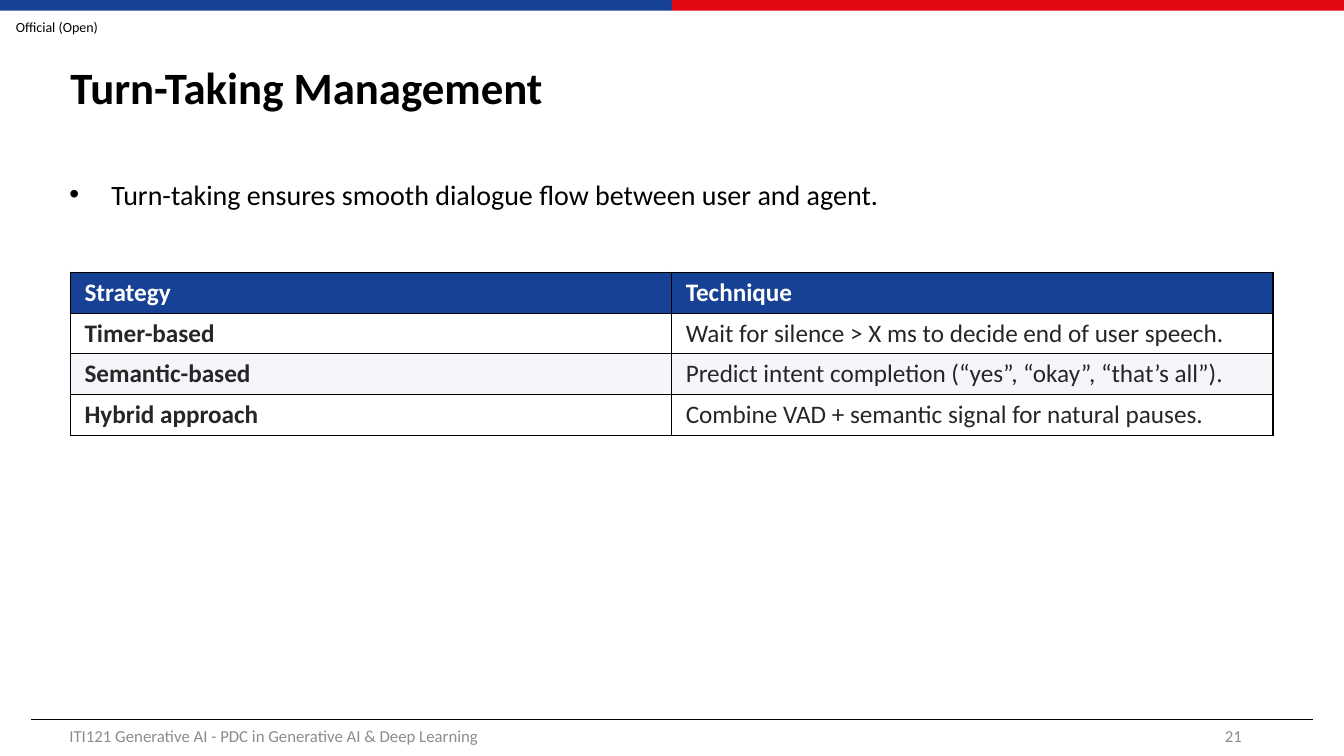
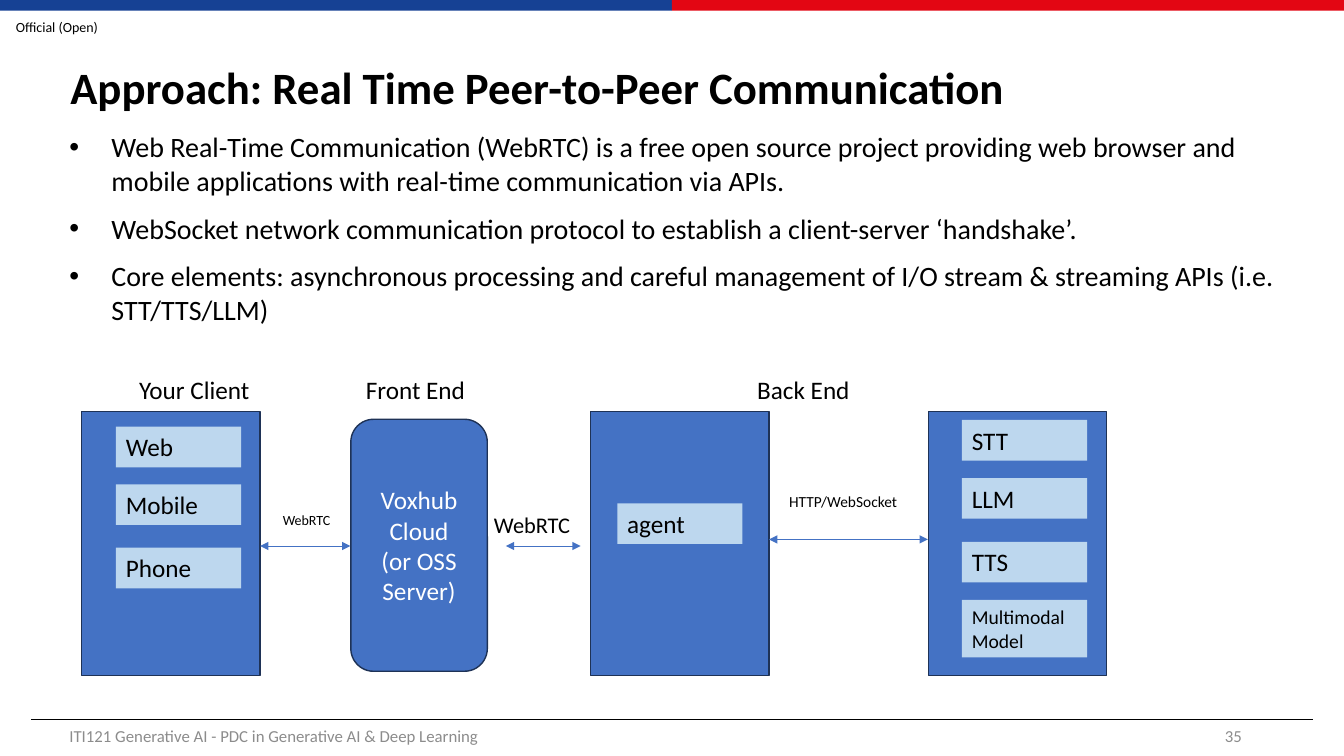
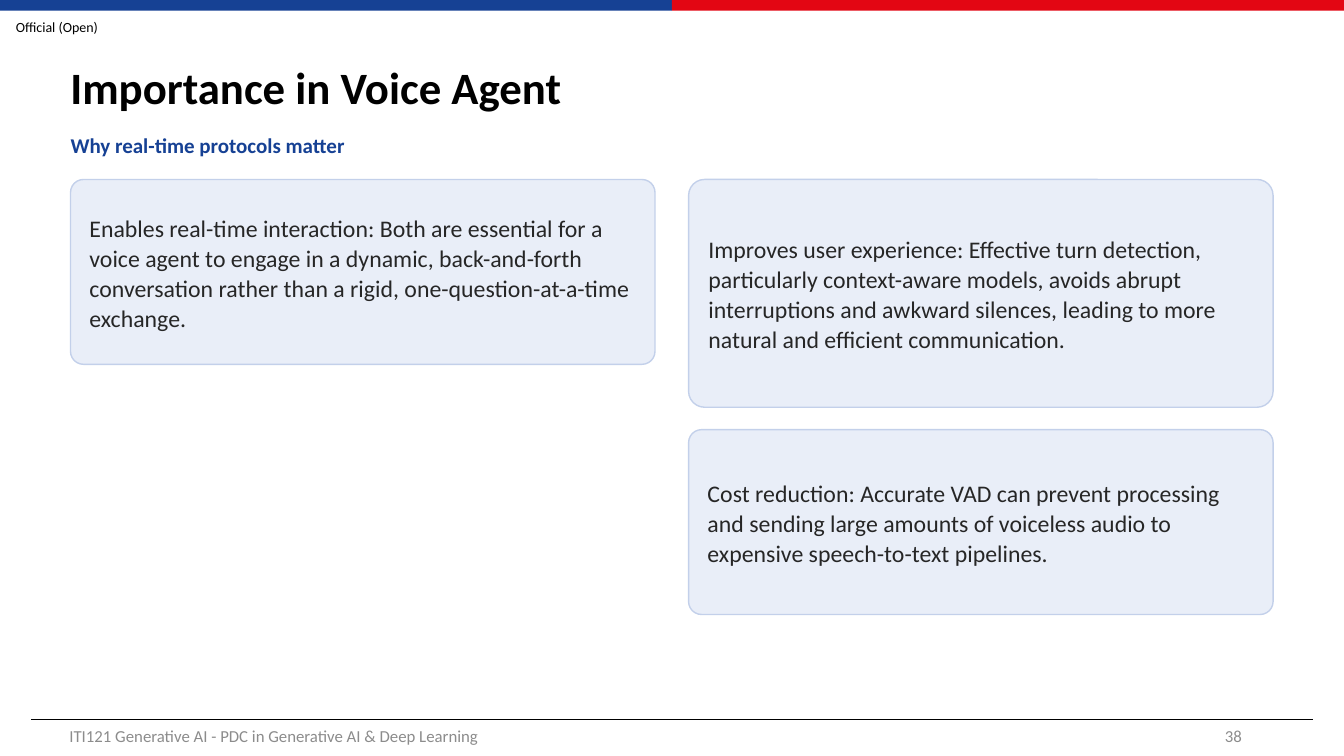
from dataclasses import dataclass

from lxml.etree import SubElement
from pptx import Presentation
from pptx.dml.color import RGBColor
from pptx.enum.shapes import MSO_CONNECTOR, MSO_SHAPE
from pptx.enum.text import MSO_ANCHOR, PP_ALIGN
from pptx.oxml.ns import qn
from pptx.util import Pt


@dataclass(frozen=True)
class Theme:
    font: str = "Calibri"
    # Colours
    black: str = "000000"
    white: str = "FFFFFF"
    body: str = "262626"
    footer: str = "8C8C8C"
    navy: str = "164194"
    red: str = "E30613"
    stripe: str = "F4F6FA"
    panel: str = "4472C4"
    panel_edge: str = "1E3256"
    chip: str = "BDD7EE"
    card: str = "E9EEF8"
    card_edge: str = "C3D0EA"
    # Type sizes
    title_size: float = 32
    bullet_size: float = 20
    label_size: float = 18
    card_size: float = 17
    link_size: float = 16
    subtitle_size: float = 15
    chip_small_size: float = 14
    footer_size: float = 12
    protocol_size: float = 11
    small_size: float = 10


@dataclass(frozen=True)
class Box:
    x: float
    y: float
    w: float
    h: float

    def inner(self, x, y, w, h):
        """Return a box whose place is relative to this one."""
        return Box(self.x + x, self.y + y, w, h)

    def lengths(self):
        return Pt(self.x), Pt(self.y), Pt(self.w), Pt(self.h)


THEME = Theme()
PAGE = Box(0, 0, 960, 540)
INSETS = (7.2, 3.6, 7.2, 3.6)
COURSE = "ITI121 Generative AI - PDC in Generative AI & Deep Learning"


def rgb(value):
    return RGBColor.from_string(value)


def write(frame, *texts, size=THEME.label_size, color=THEME.black, bold=False,
          align=PP_ALIGN.LEFT, anchor=MSO_ANCHOR.TOP, insets=INSETS, wrap=True,
          spacing=None, before=0, after=0, bullet=False):
    """Fill a text frame, one paragraph for each text."""
    frame.word_wrap = wrap
    frame.vertical_anchor = anchor
    (frame.margin_left, frame.margin_top,
     frame.margin_right, frame.margin_bottom) = map(Pt, insets)
    for index, text in enumerate(texts):
        para = frame.add_paragraph() if index else frame.paragraphs[0]
        para.alignment = align
        if bullet:
            props = para._p.get_or_add_pPr()
            props.set("marL", str(Pt(30)))
            props.set("indent", str(Pt(-30)))
            SubElement(props, qn("a:buFont"), typeface="Arial")
            SubElement(props, qn("a:buChar"), char="•")
        if spacing:
            para.line_spacing = spacing
        para.space_before = Pt(before if index else 0)
        para.space_after = Pt(after)
        span = para.add_run()
        span.text = text
        span.font.name = THEME.font
        span.font.size = Pt(size)
        span.font.bold = bold
        span.font.color.rgb = rgb(color)


def add_text(page, box, *texts, **style):
    write(page.shapes.add_textbox(*box.lengths()).text_frame, *texts, **style)


def add_block(page, box, fill, edge=None, kind=MSO_SHAPE.RECTANGLE):
    block = page.shapes.add_shape(kind, *box.lengths())
    block.shadow.inherit = False
    block.fill.solid()
    block.fill.fore_color.rgb = rgb(fill)
    if edge:
        block.line.color.rgb = rgb(edge)
        block.line.width = Pt(1)
    else:
        block.line.fill.background()
    return block


def add_line(page, x1, x2, y, color, arrows=False):
    line = page.shapes.add_connector(
        MSO_CONNECTOR.STRAIGHT, Pt(x1), Pt(y), Pt(x2), Pt(y))
    line.line.color.rgb = rgb(color)
    line.line.width = Pt(0.5)
    props = line._element.spPr
    if arrows:
        stroke = props.find(qn("a:ln"))
        for end in ("a:headEnd", "a:tailEnd"):
            SubElement(stroke, qn(end), type="triangle")
    SubElement(props, qn("a:effectLst"))


def add_page(deck, title, number):
    """Add a blank page with the shared bands, title and footer."""
    page = deck.slides.add_slide(deck.slide_layouts[6])
    middle = MSO_ANCHOR.MIDDLE
    # Top bands and classification
    half = PAGE.w / 2
    for index, color in enumerate((THEME.navy, THEME.red)):
        add_block(page, PAGE.inner(index * half, 0, half, 7.7), color)
    add_text(page, PAGE.inner(0, 8.6, 81.4, 21), "Official (Open)",
             size=THEME.small_size, align=PP_ALIGN.CENTER, anchor=middle,
             insets=(0, 0, 0, 0), wrap=False)
    # Title
    add_text(page, PAGE.inner(43.2, 21.6, 870, 85), title, bold=True,
             size=THEME.title_size, anchor=middle, spacing=0.9)
    # Footer
    add_line(page, 22.3, 938, 514, THEME.black)
    footer = dict(size=THEME.footer_size, color=THEME.footer, anchor=middle)
    add_text(page, PAGE.inner(42.5, 511.2, 324, 28.8), COURSE, **footer)
    add_text(page, PAGE.inner(678.2, 511.2, 216, 28.8), str(number),
             align=PP_ALIGN.RIGHT, **footer)
    return page


def add_bullets(page, box, *texts):
    add_text(page, box, *texts, size=THEME.bullet_size, before=10, bullet=True)


def add_cell_borders(cell):
    props = cell._tc.get_or_add_tcPr()
    for side in ("a:lnL", "a:lnR", "a:lnT", "a:lnB"):
        border = SubElement(props, qn(side), w=str(Pt(1)))
        fill = SubElement(border, qn("a:solidFill"))
        SubElement(fill, qn("a:srgbClr"), val=THEME.black)


def add_strategy_table(page, box, rows):
    table = page.shapes.add_table(len(rows), len(rows[0]), *box.lengths()).table
    table.horz_banding = False
    for column in table.columns:
        column.width = Pt(box.w / len(rows[0]))
    for r, row in enumerate(rows):
        table.rows[r].height = Pt(box.h / len(rows))
        header = r == 0
        fill = THEME.navy if header else (THEME.white, THEME.stripe)[(r - 1) % 2]
        for c, text in enumerate(row):
            cell = table.cell(r, c)
            add_cell_borders(cell)
            cell.fill.solid()
            cell.fill.fore_color.rgb = rgb(fill)
            write(cell.text_frame, text, bold=header or c == 0,
                  color=THEME.white if header else THEME.body)
            cell.vertical_anchor = MSO_ANCHOR.MIDDLE
            cell.margin_left = cell.margin_right = Pt(10)
            cell.margin_top = cell.margin_bottom = Pt(3.6)


def add_panel(page, box, chips):
    """Draw a panel; each chip is text, left, top, height and type size."""
    add_block(page, box, THEME.panel, THEME.panel_edge)
    for text, x, y, height, size in chips:
        chip = add_block(page, box.inner(x, y, 89.5, height), THEME.chip)
        write(chip.text_frame, text, size=size)


def add_architecture(page, box):
    size = THEME.label_size
    # Client, agent and service panels
    panels = (
        (0, [("Web", 24.5, 10.8, 29, size), ("Mobile", 24.5, 52, 29, size),
             ("Phone", 24.5, 97.2, 29, size)]),
        (363.6, [("agent", 19, 65.5, 29, size)]),
        (604.8, [("STT", 24, 6, 29, size), ("LLM", 24, 47.5, 29, size),
                 ("TTS", 24, 93, 29, size),
                 ("Multimodal Model", 24, 134.6, 41, THEME.chip_small_size)]),
    )
    for x, chips in panels:
        add_panel(page, box.inner(x, 30, 127.5, 188.6), chips)
    # Media server
    server = add_block(page, box.inner(192.3, 35.5, 97.5, 180), THEME.panel,
                       THEME.panel_edge, MSO_SHAPE.ROUNDED_RECTANGLE)
    write(server.text_frame, "Voxhub Cloud", "(or OSS Server)",
          color=THEME.white, align=PP_ALIGN.CENTER, anchor=MSO_ANCHOR.MIDDLE)
    # Headings
    for text, x, width in (("Your Client", 34, 94), ("Front End", 196, 86),
                           ("Back End", 475.5, 81)):
        add_text(page, box.inner(x, 0, width, 29), text, wrap=False)
    # Links: start, end, height
    for x1, x2, y in ((127.5, 192, 126), (303, 356.5, 126), (491, 604.5, 121.3)):
        add_line(page, box.x + x1, box.x + x2, box.y + y, THEME.panel, arrows=True)
    # Link labels
    labels = (
        ("WebRTC", 130.5, 97.5, 60.5, THEME.small_size, PP_ALIGN.CENTER),
        ("WebRTC", 287.5, 97.5, 89, THEME.link_size, PP_ALIGN.LEFT),
        ("HTTP/WebSocket", 493.5, 84, 101, THEME.protocol_size, PP_ALIGN.CENTER),
    )
    for text, x, y, width, label_size, align in labels:
        add_text(page, box.inner(x, y, width, 26.6), text,
                 size=label_size, align=align)


def add_cards(page, box, columns, gap_x=24, gap_y=16):
    """Stack cards in equal columns; each card is height and text."""
    width = (box.w - gap_x * (len(columns) - 1)) / len(columns)
    for index, cards in enumerate(columns):
        y = 0
        for height, text in cards:
            card = add_block(page, box.inner(index * (width + gap_x), y, width, height),
                             THEME.card, THEME.card_edge,
                             MSO_SHAPE.ROUNDED_RECTANGLE)
            card.adjustments[0] = 0.07
            write(card.text_frame, text, size=THEME.card_size, color=THEME.body,
                  anchor=MSO_ANCHOR.MIDDLE, insets=(10.8, 7.2, 10.8, 7.2),
                  spacing=1.05, after=5)
            y += height + gap_y


def turn_taking(deck):
    page = add_page(deck, "Turn-Taking Management", 21)
    add_bullets(page, PAGE.inner(42.5, 123, 870, 377),
                "Turn-taking ensures smooth dialogue flow between user and agent.")
    add_strategy_table(page, PAGE.inner(50.4, 194.6, 859, 116.4), (
        ("Strategy", "Technique"),
        ("Timer-based", "Wait for silence > X ms to decide end of user speech."),
        ("Semantic-based", "Predict intent completion (“yes”, “okay”, “that’s all”)."),
        ("Hybrid approach", "Combine VAD + semantic signal for natural pauses."),
    ))


def peer_to_peer(deck):
    page = add_page(deck, "Approach: Real Time Peer-to-Peer Communication", 35)
    add_bullets(
        page, PAGE.inner(42.5, 89.3, 893.5, 385),
        "Web Real-Time Communication (WebRTC) is a free open source project "
        "providing web browser and mobile applications with real-time "
        "communication via APIs.",
        "WebSocket network communication protocol to establish a client-server "
        "‘handshake’.",
        "Core elements: asynchronous processing and careful management of I/O "
        "stream & streaming APIs (i.e. STT/TTS/LLM)")
    add_architecture(page, PAGE.inner(58.3, 264, 732.3, 218.6))


def importance(deck):
    page = add_page(deck, "Importance in Voice Agent", 38)
    add_text(page, PAGE.inner(50.4, 95, 859, 28.8), "Why real-time protocols matter",
             size=THEME.subtitle_size, color=THEME.navy, bold=True,
             insets=(0, 0, 0, 0))
    add_cards(page, PAGE.inner(50.4, 128.2, 859, 310.3), (
        [(132, "Enables real-time interaction: Both are essential for a voice "
               "agent to engage in a dynamic, back-and-forth conversation rather "
               "than a rigid, one-question-at-a-time exchange.")],
        [(162.7, "Improves user experience: Effective turn detection, "
                 "particularly context-aware models, avoids abrupt interruptions "
                 "and awkward silences, leading to more natural and efficient "
                 "communication."),
         (132, "Cost reduction: Accurate VAD can prevent processing and sending "
               "large amounts of voiceless audio to expensive speech-to-text "
               "pipelines.")],
    ))


def main():
    deck = Presentation()
    deck.slide_width, deck.slide_height = Pt(PAGE.w), Pt(PAGE.h)
    for build in (turn_taking, peer_to_peer, importance):
        build(deck)
    deck.save("out.pptx")


if __name__ == "__main__":
    main()
